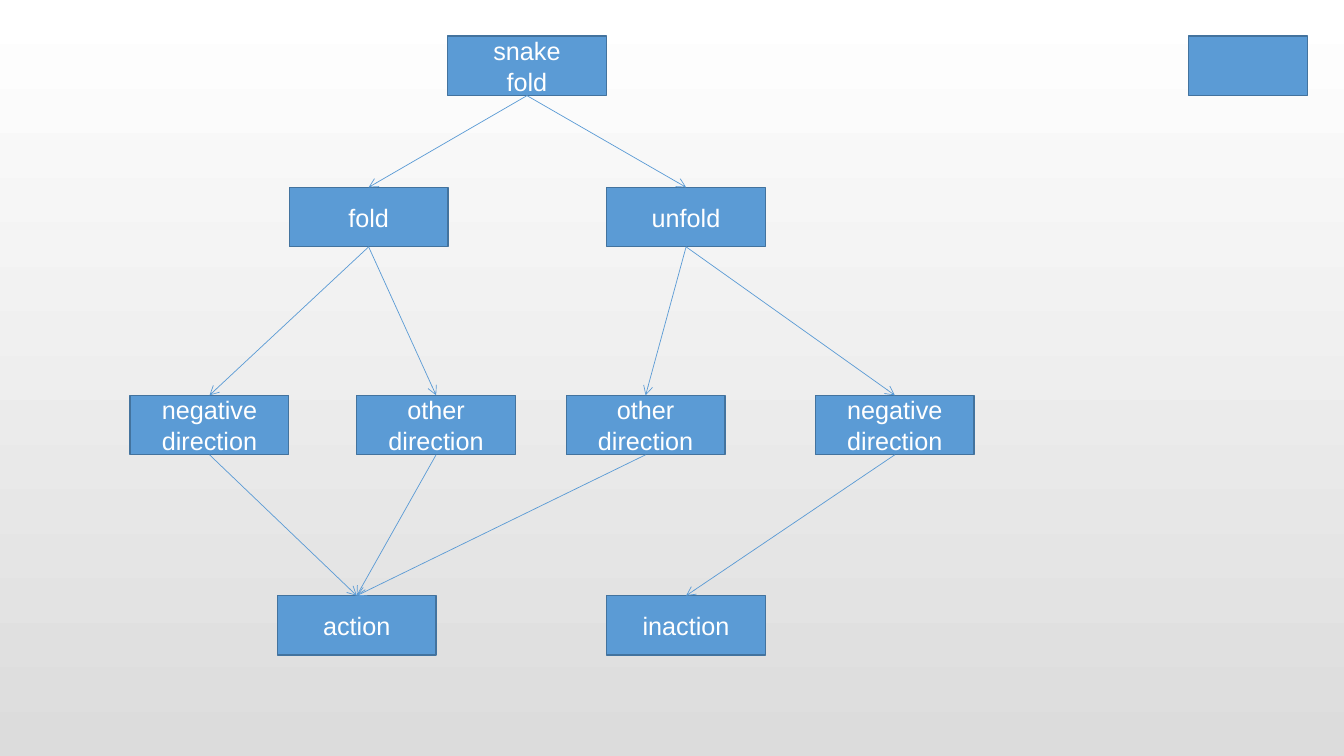
from lxml import etree
from pptx import Presentation
from pptx.dml.color import RGBColor
from pptx.enum import shapes, text
from pptx.oxml import ns
from pptx.util import Cm, Pt

BLUE = RGBColor(0x5B, 0x9B, 0xD5)
OUTLINE = RGBColor(0x43, 0x73, 0x9E)
WHITE = RGBColor(0xFF, 0xFF, 0xFF)
GRAY = RGBColor(0xDC, 0xDC, 0xDC)

# Content: top of each level, then its nodes as (key, left, label), in cm
LEVELS = [
    (0.91, [("root", 11.28, "snake\nfold")]),
    (4.72, [("fold", 7.29, "fold"), ("unfold", 15.29, "unfold")]),
    (9.96, [("fold negative", 3.28, "negative\ndirection"),
            ("fold other", 8.99, "other\ndirection"),
            ("unfold other", 14.27, "other\ndirection"),
            ("unfold negative", 20.55, "negative\ndirection")]),
    (15.01, [("action", 6.99, "action"), ("inaction", 15.29, "inaction")]),
]
LINKS = {
    "root": ["fold", "unfold"],
    "fold": ["fold negative", "fold other"],
    "unfold": ["unfold other", "unfold negative"],
    "fold negative": ["action"],
    "fold other": ["action"],
    "unfold other": ["action"],
    "unfold negative": ["inaction"],
}
NODE_W, SPARE_W, BOX_H = 4, 3, 1.5
SPARE_LEFT = 29.95
BOTTOM, TOP = 2, 0  # connection sites of a rectangle

prs = Presentation()
prs.slide_width, prs.slide_height = Cm(33.87), Cm(19.05)
s = prs.slides.add_slide(prs.slide_layouts[6])

# Background gradient, top to bottom
fill = s.background.fill
fill.gradient()
fill.gradient_angle = 270
for stop, color in zip(fill.gradient_stops, (WHITE, GRAY)):
    stop.color.rgb = color


def add_box(left, top, width, label=""):
    sp = s.shapes.add_shape(shapes.MSO_SHAPE.RECTANGLE,
                            Cm(left), Cm(top), Cm(width), Cm(BOX_H))
    sp.shadow.inherit = False
    sp.fill.solid()
    sp.fill.fore_color.rgb = BLUE
    sp.line.color.rgb = OUTLINE
    sp.line.width = Pt(1)
    if label:
        tf = sp.text_frame
        tf.text = label
        tf.word_wrap = True
        tf.vertical_anchor = text.MSO_ANCHOR.MIDDLE
        for p in tf.paragraphs:
            p.alignment = text.PP_ALIGN.CENTER
            for r in p.runs:
                r.font.name = "Arial"
                r.font.size = Pt(18)
                r.font.color.rgb = WHITE
    return sp


def add_arrow(start, end):
    c = s.shapes.add_connector(shapes.MSO_CONNECTOR.STRAIGHT, 0, 0, 0, 0)
    c.begin_connect(start, BOTTOM)
    c.end_connect(end, TOP)
    c.line.color.rgb = BLUE
    c.line.width = Pt(0.5)
    etree.SubElement(c.line._get_or_add_ln(), ns.qn("a:tailEnd"), type="arrow")
    etree.SubElement(c._element.spPr, ns.qn("a:effectLst"))


# Spare box in the corner
add_box(SPARE_LEFT, LEVELS[0][0], SPARE_W)

# Tree nodes
nodes = {key: add_box(left, top, NODE_W, label)
         for top, level in LEVELS for key, left, label in level}

# Arrows from parent to child
for parent, children in LINKS.items():
    for child in children:
        add_arrow(nodes[parent], nodes[child])

prs.save("out.pptx")
